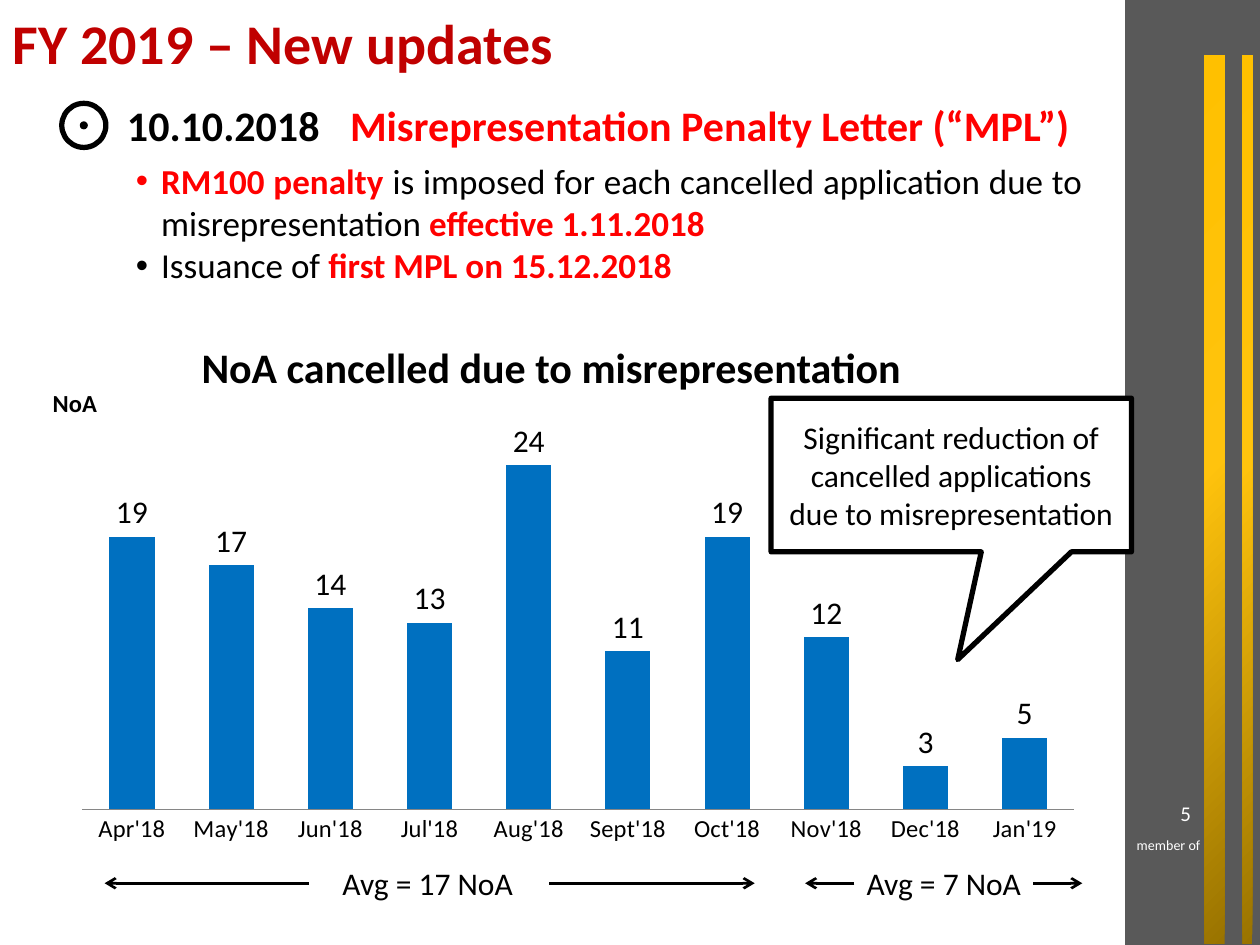
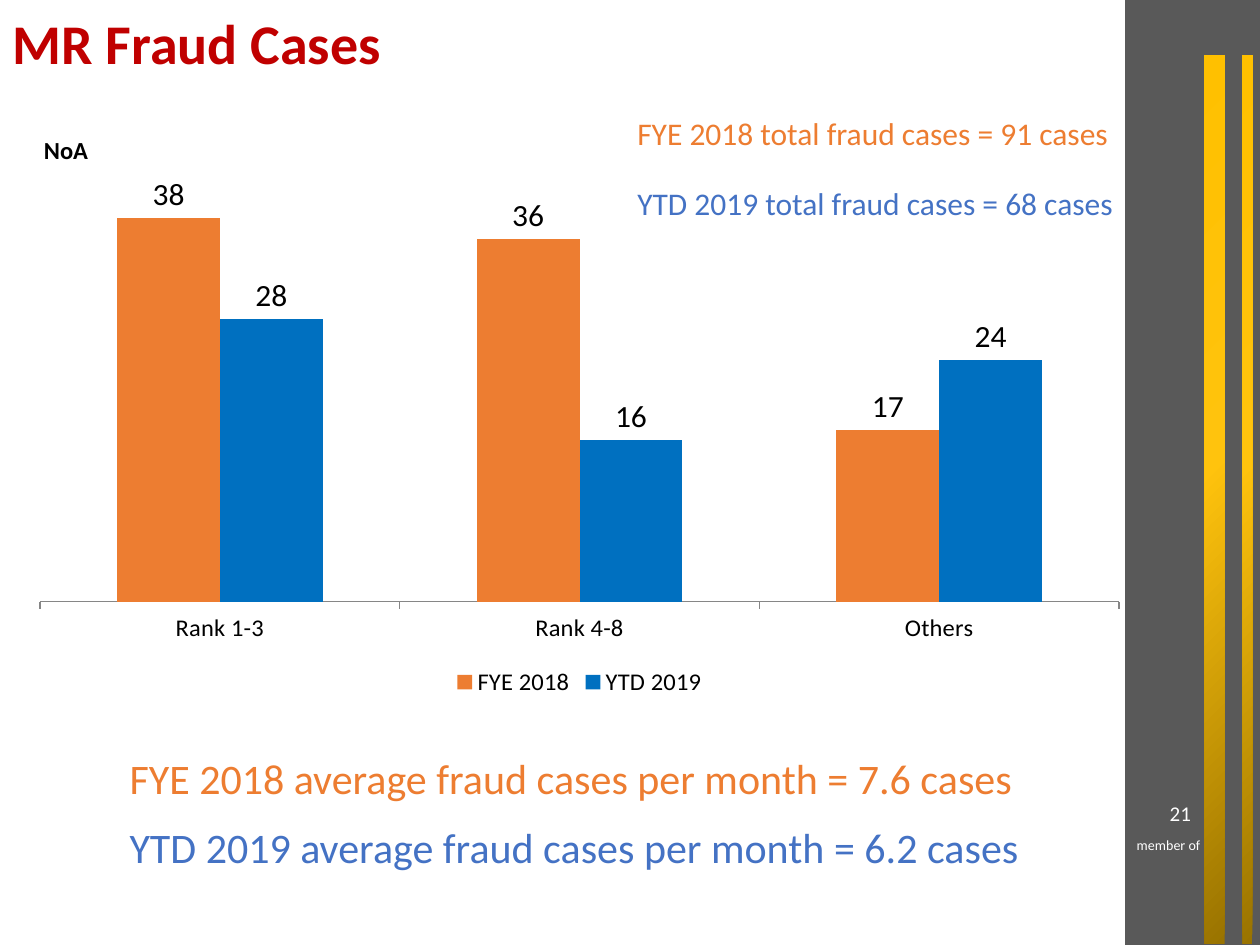
from lxml import etree
from pptx import Presentation
from pptx.chart.data import CategoryChartData
from pptx.dml.color import RGBColor
from pptx.enum.chart import XL_CHART_TYPE, XL_LABEL_POSITION, XL_LEGEND_POSITION, XL_TICK_LABEL_POSITION, XL_TICK_MARK
from pptx.enum.shapes import MSO_CONNECTOR, MSO_SHAPE
from pptx.enum.text import MSO_ANCHOR, PP_ALIGN
from pptx.oxml import parse_xml
from pptx.oxml.ns import nsdecls, qn
from pptx.util import Inches, Pt

COLUMN = XL_CHART_TYPE.COLUMN_CLUSTERED
OUTSIDE_END = XL_LABEL_POSITION.OUTSIDE_END
LEGEND_BOTTOM = XL_LEGEND_POSITION.BOTTOM
NO_LABELS = XL_TICK_LABEL_POSITION.NONE
TICK_NONE, TICK_OUT = XL_TICK_MARK.NONE, XL_TICK_MARK.OUTSIDE
RECTANGLE, ELLIPSE, CALLOUT = MSO_SHAPE.RECTANGLE, MSO_SHAPE.OVAL, MSO_SHAPE.RECTANGULAR_CALLOUT
STRAIGHT = MSO_CONNECTOR.STRAIGHT
LEFT, CENTER, RIGHT, JUSTIFY = PP_ALIGN.LEFT, PP_ALIGN.CENTER, PP_ALIGN.RIGHT, PP_ALIGN.JUSTIFY
TOP, MIDDLE = MSO_ANCHOR.TOP, MSO_ANCHOR.MIDDLE

FONT = "Calibri"
BLACK, WHITE, GREY = "000000", "FFFFFF", "595959"
TITLE_RED, RED = "C00000", "FF0000"
ORANGE, BAR_BLUE, TEXT_BLUE = "ED7D31", "0070C0", "4472C4"
GOLD_STOPS = ((0, "FFC000"), (46, "FFC30D"), (100, "997300"))


def color(value):
    return RGBColor.from_string(value)


def box(left, top, width, height):
    return Inches(left), Inches(top), Inches(width), Inches(height)


class Deck:
    def __init__(self):
        self.presentation = Presentation()
        self.presentation.slide_width = Inches(10)
        self.presentation.slide_height = Inches(7.5)
        self.slide = None

    def style_font(self, font, size, font_color=BLACK, bold=False):
        font.name = FONT
        font.size = Pt(size)
        font.bold = bold
        font.color.rgb = color(font_color)

    def add_slide(self, title, number):
        self.slide = self.presentation.slides.add_slide(self.presentation.slide_layouts[5])
        self.title(title)
        self.shape(RECTANGLE, 8.93, 0, 1.09, 7.5, GREY)
        for left, width in ((9.56, 0.16), (9.86, 0.08)):
            self.gold_band(left, 0.44, width, 7.05)
        self.text("member of", 8.86, 6.59, 0.83, 0.23, 8, WHITE, align=CENTER)
        self.text(str(number), 7.3, 6.25, 2.25, 0.4, 12, WHITE, align=RIGHT, anchor=MIDDLE)

    def title(self, text):
        title = self.slide.shapes.title
        title.left, title.top, title.width, title.height = box(0, 0, 8.62, 0.74)
        title.text_frame.text = text
        title.text_frame.vertical_anchor = MIDDLE
        paragraph = title.text_frame.paragraphs[0]
        paragraph.alignment = LEFT
        paragraph.line_spacing = 0.9
        self.style_font(paragraph.font, 32, TITLE_RED, True)

    def shape(self, kind, left, top, width, height, fill, line_width=0):
        shape = self.slide.shapes.add_shape(kind, *box(left, top, width, height))
        shape.shadow.inherit = False
        shape.fill.solid()
        shape.fill.fore_color.rgb = color(fill)
        if line_width:
            shape.line.color.rgb = color(BLACK)
            shape.line.width = Pt(line_width)
        else:
            shape.line.fill.background()
        return shape

    def gold_band(self, left, top, width, height):
        band = self.shape(RECTANGLE, left, top, width, height, GOLD_STOPS[0][1])
        stops = "".join(
            f'<a:gs pos="{position * 1000}"><a:srgbClr val="{value}"/></a:gs>'
            for position, value in GOLD_STOPS
        )
        gradient = parse_xml(
            f'<a:gradFill {nsdecls("a")}><a:gsLst>{stops}</a:gsLst><a:path path="circle">'
            '<a:fillToRect r="100000" b="100000"/></a:path></a:gradFill>'
        )
        properties = band.element.spPr
        properties.replace(properties.find(qn("a:solidFill")), gradient)

    def text(self, text, left, top, width, height, size, font_color=BLACK, bold=False,
             align=LEFT, anchor=TOP, wrap=True):
        frame = self.slide.shapes.add_textbox(*box(left, top, width, height)).text_frame
        frame.word_wrap = wrap
        frame.vertical_anchor = anchor
        frame.text = text
        paragraph = frame.paragraphs[0]
        paragraph.alignment = align
        self.style_font(paragraph.font, size, font_color, bold)

    def bullets(self, items, left, top, width, height, size):
        frame = self.slide.shapes.add_textbox(*box(left, top, width, height)).text_frame
        frame.word_wrap = True
        for index, runs in enumerate(items):
            paragraph = frame.add_paragraph() if index else frame.paragraphs[0]
            paragraph.alignment = JUSTIFY
            properties = paragraph._p.get_or_add_pPr()
            properties.set("marL", str(Inches(0.2)))
            properties.set("indent", str(Inches(-0.2)))
            etree.SubElement(properties, qn("a:buFont")).set("typeface", "Arial")
            etree.SubElement(properties, qn("a:buChar")).set("char", "•")
            paragraph.font.name = FONT
            paragraph.font.size = Pt(size)
            for text, highlighted in runs:
                run = paragraph.add_run()
                run.text = text
                run.font.bold = highlighted
                run.font.color.rgb = color(RED if highlighted else BLACK)

    def callout(self, text, left, top, width, height, tip):
        callout = self.shape(CALLOUT, left, top, width, height, WHITE, 3)
        callout.adjustments[0], callout.adjustments[1] = tip
        frame = callout.text_frame
        frame.word_wrap = True
        frame.vertical_anchor = MIDDLE
        frame.text = text
        frame.paragraphs[0].alignment = CENTER
        self.style_font(frame.paragraphs[0].font, 18)

    def arrow(self, start, end, height):
        arrow = self.slide.shapes.add_connector(
            STRAIGHT, Inches(start), Inches(height), Inches(end), Inches(height))
        arrow.line.color.rgb = color(BLACK)
        arrow.line.width = Pt(1.5)
        etree.SubElement(arrow.line._get_or_add_ln(), qn("a:tailEnd")).set("type", "arrow")
        etree.SubElement(arrow._element.spPr, qn("a:effectLst"))

    def column_chart(self, categories, series, left, top, width, height, maximum, gap,
                     tick=TICK_NONE, legend=False):
        data = CategoryChartData()
        data.categories = categories
        for name, values, _ in series:
            data.add_series(name, values)
        chart = self.slide.shapes.add_chart(COLUMN, *box(left, top, width, height), data).chart
        self.style_font(chart.font, 18)
        chart.has_title = False
        chart.has_legend = legend
        if legend:
            chart.legend.position = LEGEND_BOTTOM
            chart.legend.include_in_layout = False
            self.style_font(chart.legend.font, 14)
        category_axis = chart.category_axis
        category_axis.major_tick_mark = tick
        category_axis.format.line.color.rgb = color("868686")
        self.style_font(category_axis.tick_labels.font, 14)
        value_axis = chart.value_axis
        value_axis.minimum_scale = 0
        value_axis.maximum_scale = maximum
        value_axis.has_major_gridlines = False
        value_axis.major_tick_mark = TICK_NONE
        value_axis.tick_label_position = NO_LABELS
        value_axis.format.line.fill.background()
        plot = chart.plots[0]
        plot.gap_width = gap
        plot.overlap = 0
        plot.vary_by_categories = False
        plot.has_data_labels = True
        plot.data_labels.show_value = True
        plot.data_labels.position = OUTSIDE_END
        self.style_font(plot.data_labels.font, 18)
        for column, (_, _, fill) in zip(plot.series, series):
            column.invert_if_negative = False
            column.format.fill.solid()
            column.format.fill.fore_color.rgb = color(fill)


def build_updates(deck):
    deck.add_slide("FY 2019 – New updates", 5)
    deck.shape(ELLIPSE, 0.49, 0.82, 0.35, 0.35, WHITE, 3)
    deck.shape(ELLIPSE, 0.64, 0.97, 0.05, 0.05, BLACK, 1)
    deck.text("10.10.2018", 0.91, 0.74, 1.9, 0.5, 24, bold=True)
    deck.text("Misrepresentation Penalty Letter (“MPL”)", 2.68, 0.74, 6.3, 0.5, 24, RED, True)
    deck.bullets([
        [("RM100 penalty ", True),
         ("is imposed for each cancelled application due to misrepresentation ", False),
         ("effective 1.11.2018", True)],
        [("Issuance of ", False), ("first MPL on 15.12.2018", True)],
    ], 0.98, 1.22, 7.71, 1.11, 20)
    months = ["Apr'18", "May'18", "Jun'18", "Jul'18", "Aug'18",
              "Sept'18", "Oct'18", "Nov'18", "Dec'18", "Jan'19"]
    cancelled = [19, 17, 14, 13, 24, 11, 19, 12, 3, 5]
    deck.column_chart(months, [("Series 1", cancelled, BAR_BLUE)],
                      0.49, 2.93, 8.2, 3.85, maximum=30, gap=120)
    deck.text("NoA cancelled due to misrepresentation", 1.07, 2.66, 6.61, 0.5, 24,
              bold=True, align=CENTER)
    deck.text("NoA", 0.32, 3.03, 0.76, 0.28, 14, bold=True)
    deck.callout("Significant reduction of cancelled applications due to misrepresentation",
                 6.12, 3.16, 2.86, 1.22, (0.018, 1.201))
    for start, end in ((4.36, 5.99), (2.45, 0.83), (8.2, 8.59), (6.78, 6.39)):
        deck.arrow(start, end, 7.01)
    for average, left, width in ((17, 2.62, 1.57), (7, 6.78, 1.44)):
        deck.text(f"Avg = {average} NoA", left, 6.81, width, 0.4, 18, wrap=False)


def build_fraud_cases(deck):
    deck.add_slide("MR Fraud Cases", 21)
    deck.column_chart(["Rank 1-3", "Rank 4-8", "Others"],
                      [("FYE 2018", [38, 36, 17], ORANGE), ("YTD 2019", [28, 16, 24], BAR_BLUE)],
                      0.14, 1.4, 8.92, 4.17, maximum=40, gap=150, tick=TICK_OUT, legend=True)
    deck.text("NoA", 0.25, 1.02, 0.76, 0.28, 14, bold=True)
    periods = (("FYE 2018", 91, 7.6, ORANGE), ("YTD 2019", 68, 6.2, TEXT_BLUE))
    for index, (period, total, average, font_color) in enumerate(periods):
        offset = 0.55 * index
        deck.text(f"{period} average fraud cases per month = {average} cases",
                  0.93, 5.92 + offset, 7.3, 0.5, 24, font_color, wrap=False)
        deck.text(f"{period} total fraud cases = {total} cases",
                  4.96, 0.86 + offset, 4, 0.4, 18, font_color, wrap=False)


def main():
    deck = Deck()
    build_updates(deck)
    build_fraud_cases(deck)
    deck.presentation.save("out.pptx")


if __name__ == "__main__":
    main()
